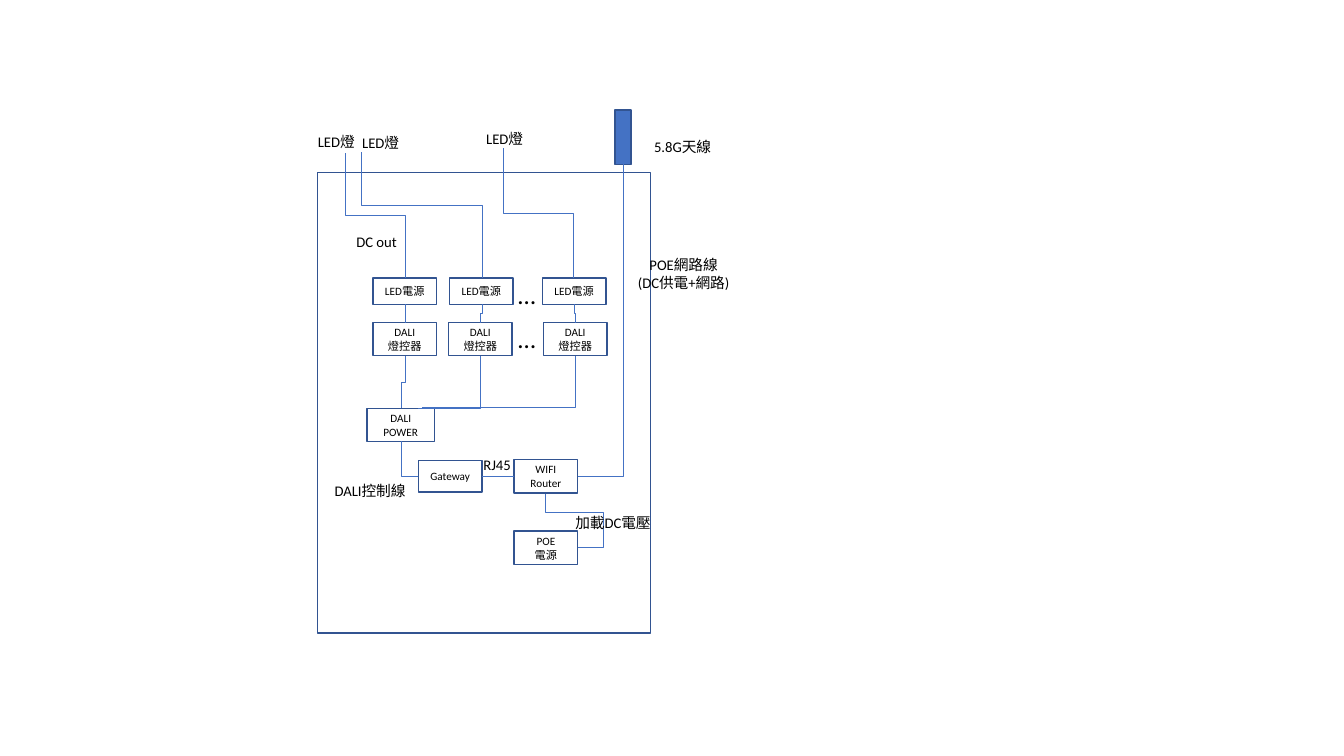
import pptx
import pptx.util
import pptx.dml.color
import pptx.enum.shapes
import pptx.enum.text
import pptx.oxml.ns
import lxml.etree

PX = 9144  # 100 px to the inch
BLUE, NAVY, BLACK = "4472C4", "325491", "000000"
qn = pptx.oxml.ns.qn
rgb = pptx.dml.color.RGBColor.from_string
kinds = pptx.enum.shapes.MSO_SHAPE
center = pptx.enum.text.PP_ALIGN.CENTER

deck = pptx.Presentation()
deck.slide_width, deck.slide_height = 1333 * PX, 750 * PX
slide = deck.slides.add_slide(deck.slide_layouts[6])
shapes = slide.shapes


def write(shape, text, size, align):
    shape.text_frame.text = text
    for para in shape.text_frame.paragraphs:
        para.alignment = align
        for run in para.runs:
            run.font.size = pptx.util.Pt(size)
            run.font.name = "Calibri"
            run.font.color.rgb = rgb(BLACK)


def elbow(kind, x1, y1, x2, y2, *bends):
    rise = kind == "rise"
    if rise:  # leaves upwards: lay the bend out sideways, then turn it
        midx, midy = (x1 + x2) / 2, (y1 + y2) / 2
        run, side = (y1 - y2) / 2, (x2 - x1) / 2
        x1, y1, x2, y2 = midx - run, midy - side, midx + run, midy + side
        kind = "bentConnector3"
    ends = [round(n * PX) for n in (x1, y1, x2, y2)]
    wire = shapes.add_connector(pptx.enum.shapes.MSO_CONNECTOR.ELBOW, *ends)
    wire.line.color.rgb = rgb(BLUE)
    wire.line.width = pptx.util.Pt(0.5)
    props = wire._element.spPr
    if rise:
        props.find(qn("a:xfrm")).set("rot", str(270 * 60000))
    geom = props.find(qn("a:prstGeom"))
    geom.set("prst", kind)
    for i, bend in enumerate(bends, 1):
        guide = lxml.etree.SubElement(geom.find(qn("a:avLst")), qn("a:gd"))
        guide.set("name", f"adj{i}" if len(bends) > 1 or kind != "bentConnector3" else "adj1")
        guide.set("fmla", f"val {bend * 1000}")
    lxml.etree.SubElement(props, qn("a:effectLst"))


# Cabinet, antenna and devices
boxes = [
    (315, 171, 330, 457, ""),
    (610, 109, 16, 54, ""),
    (415, 457, 63, 31, "Gateway"),
    (510, 456, 63, 33, "WIFI\nRouter"),
    (364, 405, 67, 33, "DALI\nPOWER"),
    (510, 527, 63, 33, "POE\n電源"),
]
for left in (370, 446, 538):
    boxes.append((left, 276, 63, 26, "LED電源"))
for left in (370, 445, 539):
    boxes.append((left, 320, 63, 33, "DALI\n燈控器"))

for left, top, wide, high, text in boxes:
    box = shapes.add_shape(kinds.RECTANGLE, left * PX, top * PX, wide * PX, high * PX)
    box.shadow.inherit = False
    if wide == 16:
        box.fill.solid()
        box.fill.fore_color.rgb = rgb(BLUE)
    else:
        box.fill.background()
    box.line.color.rgb = rgb(NAVY)
    box.line.width = pptx.util.Pt(1)
    if text:
        box.text_frame.vertical_anchor = pptx.enum.text.MSO_ANCHOR.MIDDLE
        write(box, text, 8, center)

# Network and control wires
elbow("bentConnector3", 478, 473, 510, 473)
elbow("bentConnector2", 573, 473, 618, 162)
elbow("bentConnector2", 415, 473, 398, 438)
elbow("bentConnector2", 415, 405, 476, 353)
elbow("bentConnector2", 419, 404, 571, 353)
elbow("bentConnector4", 573, 543, 541, 490, -79, 66)

# Wires that leave upwards
for ends in (
    (398, 405, 402, 353, 50),
    (402, 320, 402, 302, 50),
    (476, 320, 478, 302, 50),
    (571, 320, 570, 302, 50),
    (402, 276, 343, 152, 50),
    (478, 276, 358, 151, 58),
    (569, 276, 499, 147, 50),
):
    elbow("rise", *ends)

# Labels
for left, top, wide, high, text in (
    (504, 272, 51, 40, "…"),
    (504, 316, 51, 40, "…"),
    (305, 127, 57, 28, "LED燈"),
    (349, 128, 57, 28, "LED燈"),
    (472, 124, 57, 28, "LED燈"),
    (343, 226, 61, 28, "DC out"),
    (622, 249, 112, 45, "POE網路線\n(DC供電+網路)"),
    (321, 473, 92, 28, "DALI控制線"),
    (469, 447, 48, 28, "RJ45"),
    (638, 132, 78, 28, "5.8G天線"),
    (560, 505, 96, 28, "加載DC電壓"),
):
    label = shapes.add_textbox(left * PX, top * PX, wide * PX, high * PX)
    label.text_frame.word_wrap = not text.isascii()
    label.text_frame.auto_size = pptx.enum.text.MSO_AUTO_SIZE.SHAPE_TO_FIT_TEXT
    if text == "…":
        write(label, text, 18, pptx.enum.text.PP_ALIGN.LEFT)
    else:
        write(label, text, 10.5, center)

deck.save("out.pptx")
